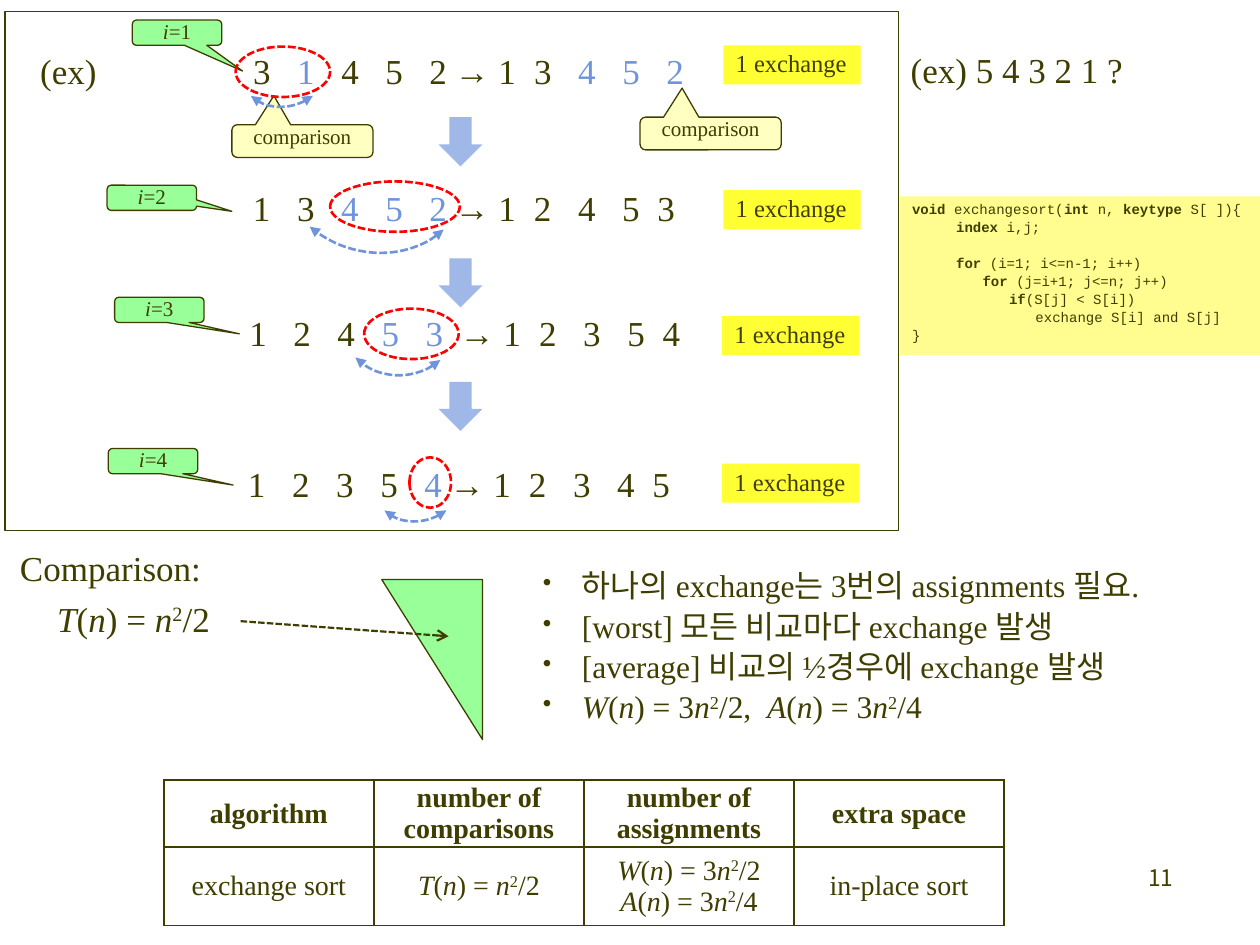
from dataclasses import dataclass
from itertools import accumulate

from lxml.etree import SubElement
from pptx import Presentation
from pptx.dml.color import RGBColor
from pptx.enum.dml import MSO_LINE
from pptx.enum.shapes import MSO_CONNECTOR, MSO_SHAPE as Preset
from pptx.enum.text import MSO_ANCHOR as Anchor, PP_ALIGN as Align
from pptx.oxml.ns import qn
from pptx.util import Inches, Pt

DARK = RGBColor(0x3F, 0x3E, 0x00)
BLUE = RGBColor(0x70, 0x94, 0xDC)
ARROW_BLUE = RGBColor(0x9F, 0xB8, 0xE7)
GREEN = RGBColor(0x99, 0xFF, 0x99)
YELLOW = RGBColor(0xFF, 0xFF, 0x33)
CREAM = RGBColor(0xFF, 0xFF, 0xC2)
CODE_YELLOW = RGBColor(0xFF, 0xFD, 0x8F)
RED = RGBColor(0xFF, 0x00, 0x00)
SERIF, MONO, SANS = "Times New Roman", "Courier New", "Noto Sans CJK KR"
DIGIT_GAP, SHORT_GAP = 0.35, 0.28
CODE_CHARACTER = 0.07
MARKS = "*^`~"

Box = tuple[float, float, float, float]


@dataclass
class Step:
    text: str
    box: Box
    label: Box
    pointer: tuple[float, float]
    badge: tuple[float, float]
    ellipse: Box
    arc: Box
    rotation: float
    arc_range: tuple[float, float]
    start: float = 0
    arrow_shift: float = 0
    last_gap: float = SHORT_GAP


STEPS = [
    Step("(ex)\t3\t~1~\t4\t5\t2\t→ 1\t3~\t4\t5\t2~", (0.22, 0.38, 5.42, 0.4),
         (1.05, 0.16, 0.71, 0.2), (0.733, 1.522), (5.74, 0.36), (1.87, 0.37, 0.75, 0.4),
         (1.85, 0.07, 0.85, 0.75), 131.9, (170.75, 0), start=1.69, last_gap=DIGIT_GAP),
    Step("1\t3\t~4\t5\t2~\t→ 1\t2\t4\t5\t3", (1.91, 1.47, 3.64, 0.4),
         (0.85, 1.47, 0.71, 0.2), (0.895, 0.538), (5.74, 1.51), (2.62, 1.44, 1.03, 0.4),
         (2.19, 0.39, 1.5, 1.67), 126.9, (167.315, 1.93)),
    Step("1\t2\t4\t~5\t3~\t→ 1\t2\t3\t5\t4", (1.88, 2.46, 3.71, 0.4),
         (0.91, 2.36, 0.71, 0.2), (0.895, 0.952), (5.73, 2.51), (2.89, 2.45, 0.75, 0.4),
         (2.67, 1.98, 1.02, 0.99), 131.6, (167.315, 1.93), arrow_shift=0.07),
    Step("1\t2\t3\t5\t~4~\t→ 1\t2\t3\t4\t5", (1.87, 3.66, 3.64, 0.4),
         (0.86, 3.56, 0.71, 0.2), (0.895, 0.952), (5.73, 3.68), (3.25, 3.63, 0.33, 0.4),
         (2.91, 3.36, 0.85, 0.75), 131.9, (170.75, 0)),
]
CODE = [
    (0, "`void` exchangesort(`int` n, `keytype` S[ ]){"),
    (5, "`index` i,j;"),
    (5, "`for` (i=1; i<=n-1; i++)"),
    (8, "`for` (j=i+1; j<=n; j++)"),
    (11, "`if`(S[j] < S[i])"),
    (14, "exchange S[i] and S[j]"),
    (0, "}"),
]
BULLETS = [
    "하나의 exchange는 3번의 assignments 필요.",
    "[worst] 모든 비교마다 exchange 발생",
    "[average] 비교의 ½경우에 exchange 발생",
    "*W*(*n*) = 3*n*^2^/2,  *A*(*n*) = 3*n*^2^/4",
]
TABLE = [
    ["algorithm", "number of comparisons", "number of assignments", "extra space"],
    ["exchange sort", "*T*(*n*) = *n*^2^/2",
     "*W*(*n*) = 3*n*^2^/2\n*A*(*n*) = 3*n*^2^/4", "in-place sort"],
]


def inches(box: Box) -> list[Inches]:
    return [Inches(value) for value in box]


def add_runs(paragraph, text: str) -> None:
    active, piece = set(), ""
    for character in text + MARKS[0]:
        if character not in MARKS:
            piece += character
            continue
        if piece:
            run = paragraph.add_run()
            run.text = piece
            if "*" in active:
                run.font.italic = True
            if "`" in active:
                run.font.bold = True
            if "~" in active:
                run.font.color.rgb = BLUE
            if "^" in active:
                run.font._element.set("baseline", "30000")
        active ^= {character}
        piece = ""


def set_text(frame, lines: list[str], size: float, align=Align.LEFT, font=SERIF,
             bold=False, spacing=0.9, tabs=(), bullet=False) -> None:
    for index, line in enumerate(lines):
        paragraph = frame.add_paragraph() if index else frame.paragraphs[0]
        properties = paragraph._p.get_or_add_pPr()
        if bullet:
            properties.set("marL", str(Inches(0.31)))
            properties.set("indent", str(Inches(-0.31)))
            color = SubElement(properties, qn("a:buClr"))
            SubElement(color, qn("a:srgbClr"), val=str(DARK))
            SubElement(properties, qn("a:buSzPct"), val="80000")
            SubElement(properties, qn("a:buChar"), char="•")
        if tabs:
            stops = SubElement(properties, qn("a:tabLst"))
            for position in tabs:
                SubElement(stops, qn("a:tab"), pos=str(Inches(position)), algn="l")
        paragraph.alignment = align
        paragraph.line_spacing = spacing
        paragraph.space_before = Pt(size * 0.2 if index and spacing < 1 else 0)
        paragraph.font.size = Pt(size)
        paragraph.font.bold = bold
        paragraph.font.color.rgb = DARK
        paragraph.font.name = font
        SubElement(paragraph.font._element, qn("a:ea"), typeface=SANS)
        add_runs(paragraph, line)


def add_text(slide, box: Box, lines: list[str], size: float, wrap=False, **style) -> None:
    frame = slide.shapes.add_textbox(*inches(box)).text_frame
    frame.word_wrap = wrap
    set_text(frame, lines, size, **style)


def add_shape(slide, preset, box: Box, fill=None, line=None, width=0.75,
              dashed=False, adjustments=(), rotation=0):
    shape = slide.shapes.add_shape(preset, *inches(box))
    shape.shadow.inherit = False
    shape.rotation = rotation
    for index, value in enumerate(adjustments):
        shape.adjustments[index] = value
    if fill is None:
        shape.fill.background()
    else:
        shape.fill.solid()
        shape.fill.fore_color.rgb = fill
    if line is None:
        shape.line.fill.background()
    else:
        shape.line.color.rgb = line
        shape.line.width = Pt(width)
        if dashed:
            shape.line.dash_style = MSO_LINE.SQUARE_DOT
    shape.text_frame.vertical_anchor = Anchor.TOP
    return shape


def add_callout(slide, box: Box, pointer: tuple[float, float], text: str, fill) -> None:
    shape = add_shape(slide, Preset.ROUNDED_RECTANGULAR_CALLOUT, box, fill, DARK,
                      adjustments=(*pointer, 0.167))
    frame = shape.text_frame
    frame.margin_left = frame.margin_right = frame.margin_top = frame.margin_bottom = 0
    set_text(frame, [text], 12, Align.CENTER)


def add_step(slide, number: int, step: Step) -> None:
    arrow = step.start + 4 * DIGIT_GAP + 0.2 + step.arrow_shift
    tabs = [step.start + index * DIGIT_GAP for index in range(0 if step.start else 1, 5)]
    tabs.append(arrow)
    gaps = [SHORT_GAP, DIGIT_GAP, DIGIT_GAP, step.last_gap]
    tabs += list(accumulate(gaps, initial=arrow + DIGIT_GAP))[1:]
    add_text(slide, step.box, [step.text], 20, wrap=True, tabs=tabs)
    add_callout(slide, step.label, step.pointer, f"*i*={number}", GREEN)
    badge = add_shape(slide, Preset.RECTANGLE, (*step.badge, 1.09, 0.31), YELLOW)
    badge.text_frame.word_wrap = False
    set_text(badge.text_frame, ["1 exchange"], 14)
    add_shape(slide, Preset.OVAL, step.ellipse, None, RED, 1.5, True)
    arc = add_shape(slide, Preset.ARC, step.arc, None, BLUE, 1.5, True,
                    step.arc_range, step.rotation)
    for end in ("a:headEnd", "a:tailEnd"):
        SubElement(arc.line._get_or_add_ln(), qn(end), type="triangle")


def add_summary_table(slide) -> None:
    table = slide.shapes.add_table(2, 4, *inches((1.3, 6.19, 6.67, 1.15))).table
    table.first_row = table.horz_banding = False
    for row, height, texts in zip(table.rows, (0.53, 0.62), TABLE):
        row.height = Inches(height)
        for cell, text in zip(row.cells, texts):
            cell.margin_left = cell.margin_right = Inches(0.07)
            cell.margin_top = cell.margin_bottom = 0
            cell.vertical_anchor = Anchor.MIDDLE
            set_text(cell.text_frame, text.split("\n"), 16, Align.CENTER,
                     bold=texts is TABLE[0], spacing=1.0)
            properties = cell._tc.get_or_add_tcPr()
            for side in ("a:lnL", "a:lnR", "a:lnT", "a:lnB"):
                border = SubElement(properties, qn(side), w=str(Pt(1)))
                solid = SubElement(border, qn("a:solidFill"))
                SubElement(solid, qn("a:srgbClr"), val=str(DARK))
            cell.fill.background()


def add_code(slide) -> None:
    frame = add_shape(slide, Preset.RECTANGLE, (7.14, 1.56, 2.86, 1.26), CODE_YELLOW).text_frame
    frame.word_wrap = True
    set_text(frame, [line for _, line in CODE], 8, font=MONO)
    for paragraph, (indent, _) in zip(frame.paragraphs, CODE):
        paragraph._p.get_or_add_pPr().set("marL", str(Inches(indent * CODE_CHARACTER)))
    frame.paragraphs[2].space_before = Pt(12)


presentation = Presentation()
presentation.slide_width, presentation.slide_height = Inches(10), Inches(7.5)
slide = presentation.slides.add_slide(presentation.slide_layouts[6])

add_shape(slide, Preset.RECTANGLE, (0.04, 0.09, 7.09, 4.12), None, DARK)
for left, top in ((5.08, 0.93), (1.84, 0.99)):
    add_callout(slide, (left, top, 1.12, 0.26), (-0.202, -1.387), "comparison", CREAM)
for number, step in enumerate(STEPS, 1):
    add_step(slide, number, step)
for top in (0.93, 2.05, 3.03):
    add_shape(slide, Preset.DOWN_ARROW, (3.48, top, 0.35, 0.39), ARROW_BLUE)
add_text(slide, (7.13, 0.37, 1.9, 0.4), ["(ex) 5 4 3 2 1 ?"], 20)
add_code(slide)

add_text(slide, (0.06, 4.33, 1.72, 0.4), ["Comparison:"], 20)
add_text(slide, (0.33, 4.73, 1.46, 0.4), ["*T*(*n*) = *n*^2^/2"], 20, align=Align.CENTER)
add_shape(slide, Preset.RIGHT_TRIANGLE, (3.03, 4.6, 0.8, 1.27), GREEN, DARK, rotation=180)
pointer = slide.shapes.add_connector(MSO_CONNECTOR.STRAIGHT, *inches((1.91, 4.93, 3.56, 5.05)))
pointer.line.color.rgb = DARK
pointer.line.width = Pt(1.25)
pointer.line.dash_style = MSO_LINE.SQUARE_DOT
SubElement(pointer.line._get_or_add_ln(), qn("a:tailEnd"), type="arrow")
SubElement(pointer._element.spPr, qn("a:effectLst"))
add_text(slide, (4.21, 4.48, 5.45, 1.37), BULLETS, 18, wrap=True, bullet=True)
add_summary_table(slide)
add_text(slide, (7.33, 6.83, 2.08, 0.5), ["11"], 13, wrap=True, align=Align.RIGHT, font=SANS)

presentation.save("out.pptx")
